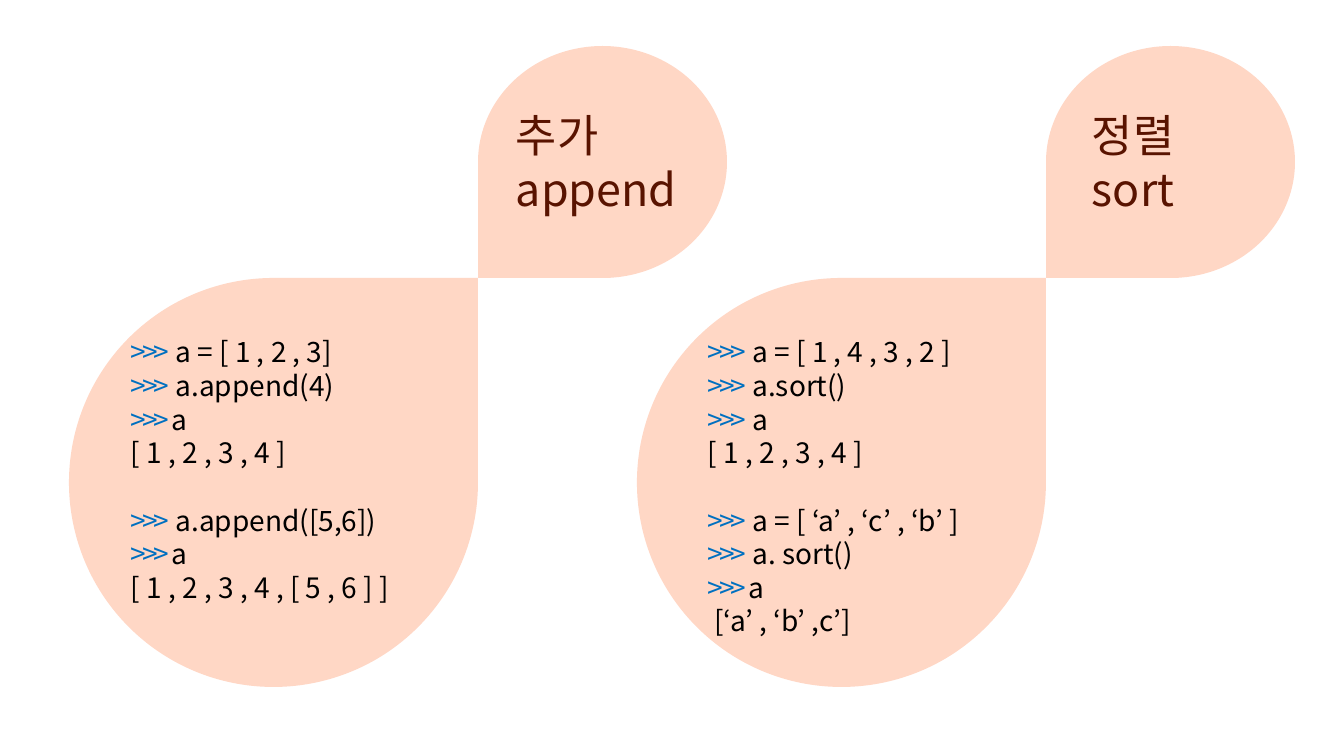
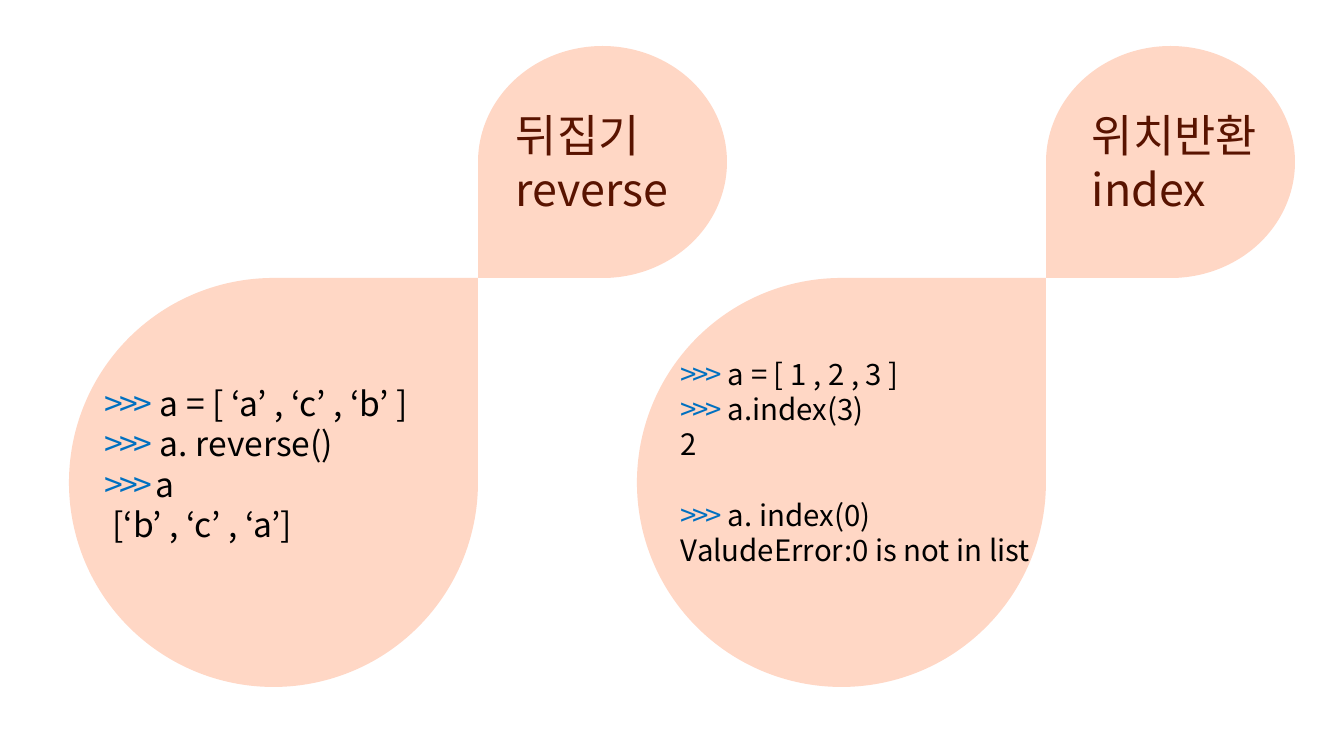
from dataclasses import dataclass

from pptx import Presentation
from pptx.dml.color import RGBColor
from pptx.enum.shapes import MSO_SHAPE
from pptx.enum.text import MSO_AUTO_SIZE
from pptx.oxml.ns import qn
from pptx.slide import Slide
from pptx.text.text import TextFrame
from pptx.util import Emu, Pt
from lxml import etree

TEARDROP = MSO_SHAPE.TEAR
GROW = MSO_AUTO_SIZE.SHAPE_TO_FIT_TEXT

EMU_PER_PIXEL = 914400 / 100.8
SLIDE_WIDTH, SLIDE_HEIGHT = 1344, 756
COLORS = {"drop": "FFD7C5", "title": "591300", "prompt": "0070C0", "code": "000000"}
FONT = "Noto Sans CJK KR"
LINE_HEIGHT = 1.2
TITLE_SIZE = 32
PROMPT_SPACING = -3
PROMPT = ">>>"
SPACED_PROMPT = ">>> "


@dataclass(frozen=True)
class Box:
    left: int
    top: int
    width: int
    height: int

    def shifted(self, distance: int) -> "Box":
        return Box(self.left + distance, self.top, self.width, self.height)

    def emu(self) -> tuple[Emu, ...]:
        return tuple(
            Emu(round(pixels * EMU_PER_PIXEL))
            for pixels in (self.left, self.top, self.width, self.height)
        )


@dataclass(frozen=True)
class CodeLine:
    code: str
    prompt: str = ""
    starts_group: bool = False


@dataclass(frozen=True)
class Method:
    title: tuple[str, str]
    title_box: Box
    code_box: Box
    code_size: int
    lines: tuple[CodeLine, ...]


CODE_DROP = Box(69, 278, 409, 409)
TITLE_DROP = Box(478, 46, 249, 232)
COLUMN_STEP = 568
LEFT_TITLE = Box(506, 103, 192, 119)

SLIDES = (
    (
        Method(("추가", "append"), LEFT_TITLE, Box(121, 330, 336, 281), 20, (
            CodeLine(" a = [ 1 , 2 , 3]", PROMPT),
            CodeLine(" a.append(4)", PROMPT),
            CodeLine("a", SPACED_PROMPT),
            CodeLine("[ 1 , 2 , 3 , 4 ]"),
            CodeLine(" a.append([5,6])", PROMPT, True),
            CodeLine("a", SPACED_PROMPT),
            CodeLine("[ 1 , 2 , 3 , 4 , [ 5 , 6 ] ]"),
        )),
        Method(("정렬", "sort"), Box(1082, 103, 160, 119), Box(698, 330, 334, 316), 20, (
            CodeLine(" a = [ 1 , 4 , 3 , 2 ]", PROMPT),
            CodeLine(" a.sort()", PROMPT),
            CodeLine(" a", PROMPT),
            CodeLine("[ 1 , 2 , 3 , 4 ]"),
            CodeLine(" a = [ ‘a’ , ‘c’ , ‘b’ ]", PROMPT, True),
            CodeLine(" a. sort()", PROMPT),
            CodeLine("a", SPACED_PROMPT),
            CodeLine(" [‘a’ , ‘b’ ,c’]"),
        )),
    ),
    (
        Method(("뒤집기", "reverse"), LEFT_TITLE, Box(95, 378, 358, 173), 24, (
            CodeLine(" a = [ ‘a’ , ‘c’ , ‘b’ ]", PROMPT),
            CodeLine(" a. reverse()", PROMPT),
            CodeLine("a", SPACED_PROMPT),
            CodeLine(" [‘b’ , ‘c’ , ‘a’]"),
        )),
        Method(("위치반환", "index"), Box(1082, 103, 192, 119), Box(671, 351, 409, 224), 21, (
            CodeLine(" a = [ 1 , 2 , 3 ]", PROMPT),
            CodeLine(" a.index(3)", PROMPT),
            CodeLine("2"),
            CodeLine(" a. index(0)", PROMPT, True),
            CodeLine("ValudeError:0 is not in list"),
        )),
    ),
)


def add_drop(slide: Slide, box: Box, rotation: int = 0) -> None:
    shape = slide.shapes.add_shape(TEARDROP, *box.emu())
    shape.rotation = rotation
    shape.shadow.inherit = False
    shape.fill.solid()
    shape.fill.fore_color.rgb = RGBColor.from_string(COLORS["drop"])
    shape.line.fill.background()


def add_text_frame(slide: Slide, box: Box) -> TextFrame:
    frame = slide.shapes.add_textbox(*box.emu()).text_frame
    frame.word_wrap = True
    frame.auto_size = GROW
    return frame


def add_line(
    frame: TextFrame,
    index: int,
    size: int,
    runs: list[tuple[str, str, int]],
    starts_group: bool = False,
) -> None:
    paragraph = frame.add_paragraph() if index else frame.paragraphs[0]
    paragraph.line_spacing = Pt(size * LINE_HEIGHT)
    if starts_group:
        paragraph.space_before = Pt(size * LINE_HEIGHT)
    for text, color, spacing in runs:
        run = paragraph.add_run()
        run.text = text
        run.font.size = Pt(size)
        run.font.color.rgb = RGBColor.from_string(COLORS[color])
        run.font.name = FONT
        properties = run._r.get_or_add_rPr()
        properties.set("spc", str(spacing * 100))
        etree.SubElement(properties, qn("a:ea")).set("typeface", FONT)


def add_title(slide: Slide, method: Method) -> None:
    frame = add_text_frame(slide, method.title_box)
    for index, text in enumerate(method.title):
        add_line(frame, index, TITLE_SIZE, [(text, "title", 0)])


def add_code(slide: Slide, method: Method) -> None:
    frame = add_text_frame(slide, method.code_box)
    for index, line in enumerate(method.lines):
        runs = [(line.prompt, "prompt", PROMPT_SPACING)] if line.prompt else []
        runs.append((line.code, "code", 0))
        add_line(frame, index, method.code_size, runs, line.starts_group)


def build_slide(presentation: Presentation, methods: tuple[Method, ...]) -> None:
    slide = presentation.slides.add_slide(presentation.slide_layouts[6])
    for column in range(len(methods)):
        add_drop(slide, CODE_DROP.shifted(column * COLUMN_STEP))
        add_drop(slide, TITLE_DROP.shifted(column * COLUMN_STEP), 180)
    for method in methods:
        add_title(slide, method)
    for method in methods:
        add_code(slide, method)


presentation = Presentation()
presentation.slide_width = Emu(round(SLIDE_WIDTH * EMU_PER_PIXEL))
presentation.slide_height = Emu(round(SLIDE_HEIGHT * EMU_PER_PIXEL))
for methods in SLIDES:
    build_slide(presentation, methods)
presentation.save("out.pptx")
